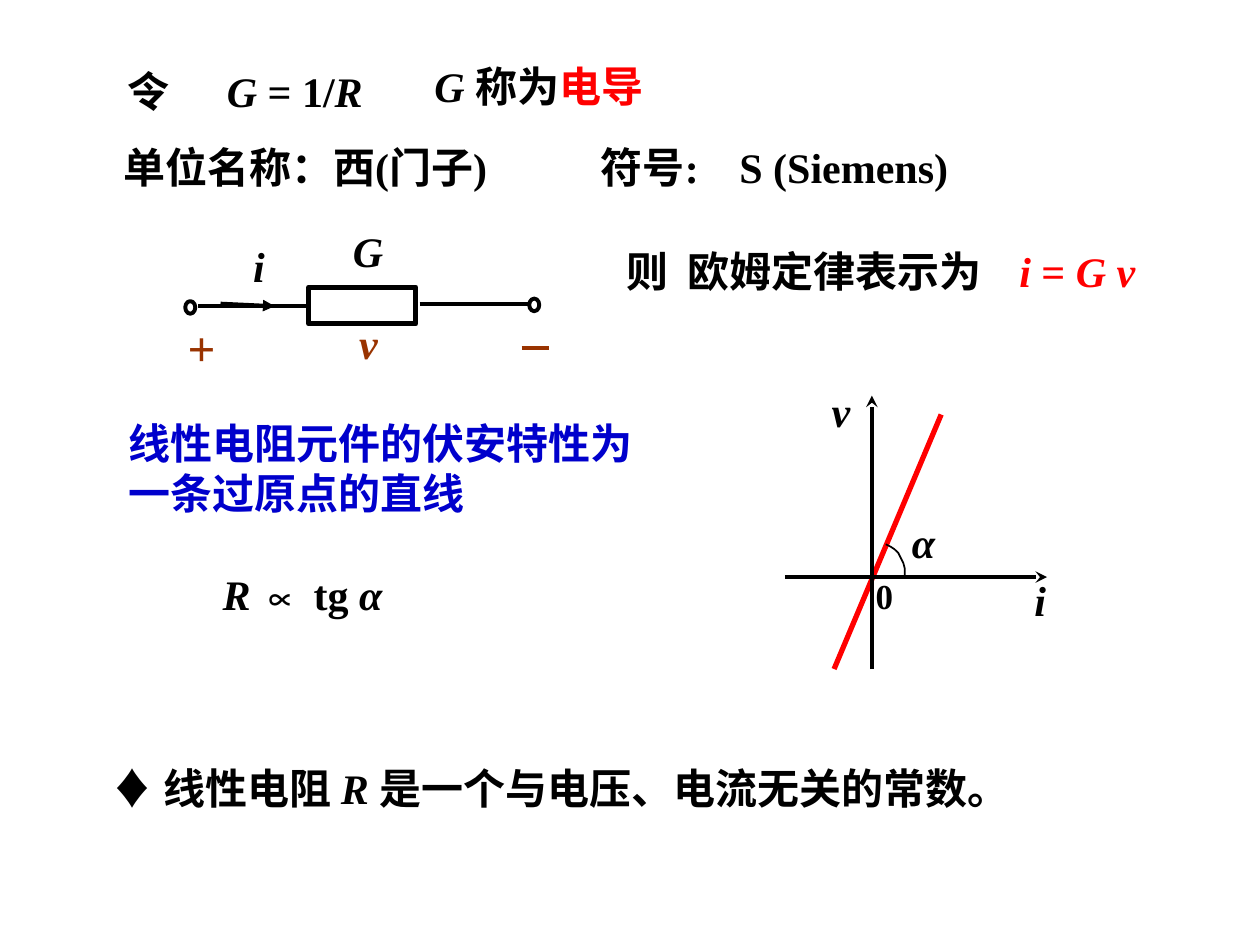
from lxml import etree
from pptx import Presentation
from pptx import util as u
from pptx.dml.color import RGBColor
from pptx.enum import shapes, text
from pptx.oxml.ns import qn

BLACK = RGBColor(0x00, 0x00, 0x00)
WHITE = RGBColor(0xFF, 0xFF, 0xFF)
RED = RGBColor(0xFF, 0x00, 0x00)
BLUE = RGBColor(0x00, 0x00, 0xCC)
BROWN = RGBColor(0x99, 0x33, 0x00)
FONT = "Times New Roman"
W, H = 1000, 750
CENTER, LEFT = text.PP_ALIGN.CENTER, text.PP_ALIGN.LEFT


def px(n):
    """Turn px (100 to the inch) into EMU."""
    return u.Emu(int(n * 9144))


def add_text(s, x, y, w, h, *lines, size=24, color=BLACK, italic=False,
             align=CENTER, wrap=True, inset=10, tabs=(), spacing=None):
    """Each line is a string or a list of (text, italic, colour) runs."""
    sp = s.shapes.add_textbox(px(x), px(y), px(w), px(h))
    tf = sp.text_frame
    tf.word_wrap = wrap
    tf.vertical_anchor = text.MSO_ANCHOR.MIDDLE
    tf.margin_left = px(inset)
    for i, line in enumerate(lines):
        p = tf.add_paragraph() if i else tf.paragraphs[0]
        if tabs:
            tab_list = etree.SubElement(p._p.get_or_add_pPr(), qn("a:tabLst"))
            for pos in tabs:
                etree.SubElement(tab_list, qn("a:tab"), pos=str(px(pos)), algn="l")
        p.alignment = align
        if spacing:
            p.line_spacing = spacing
        p.font.name, p.font.size, p.font.bold = FONT, u.Pt(size), True
        runs = [(line, italic, color)] if isinstance(line, str) else line
        for words, slanted, ink in runs:
            r = p.add_run()
            r.text = words
            r.font.italic = slanted
            r.font.color.rgb = ink


def add_line(s, x1, y1, x2, y2, color=BLACK, width=2.25, arrow=None):
    line = s.shapes.add_connector(shapes.MSO_CONNECTOR.STRAIGHT,
                                  px(x1), px(y1), px(x2), px(y2))
    line.line.color.rgb = color
    line.line.width = u.Pt(width)
    if arrow:
        etree.SubElement(line.line._get_or_add_ln(), qn("a:tailEnd"), type=arrow)
    etree.SubElement(line._element.spPr, qn("a:effectLst"))


def outline(sp, width, fill=None):
    sp.shadow.inherit = False
    if fill is None:
        sp.fill.background()
    else:
        sp.fill.solid()
        sp.fill.fore_color.rgb = fill
    sp.line.color.rgb = BLACK
    sp.line.width = u.Pt(width)


def add_definition(s, x, y):
    """Conductance, its unit and its symbol."""
    add_text(s, x, y + 4, 235, 50,
             [("令\t", False, BLACK), ("G ", True, BLACK),
              ("= 1/", False, BLACK), ("R", True, BLACK)],
             align=LEFT, inset=25, tabs=[79])
    add_text(s, x + 253, y, 197, 50,
             [("G ", True, BLACK), ("称为", False, BLACK), ("电导", False, RED)])
    add_text(s, x + 12, y + 44, 676, 70,
             "单位名称：西(门子)\t符号:\tS (Siemens)",
             align=LEFT, tabs=[379, 489], spacing=1.5)


def add_ohms_law(s, x, y):
    add_text(s, x, y, 467, 50,
             [("则\t欧姆定律表示为\t", False, BLACK), ("i ", True, RED),
              ("= ", False, RED), ("G v", True, RED)],
             align=LEFT, inset=31, tabs=[49, 312])


def add_circuit(s, x, y):
    """Conductance between two terminals, with current and voltage."""
    body = s.shapes.add_shape(shapes.MSO_SHAPE.RECTANGLE,
                              px(x + 106), px(y + 54), px(85), px(29))
    outline(body, 3)
    add_line(s, x + 104, y + 69, x + 18, y + 69)
    add_line(s, x + 194, y + 67, x + 280, y + 67)
    for left, top in ((8, 65), (281, 63)):
        terminal = s.shapes.add_shape(shapes.MSO_SHAPE.OVAL,
                                      px(x + left), px(y + top), px(8), px(10))
        outline(terminal, 2.25, WHITE)
    add_line(s, x + 36, y + 67, x + 79, y + 69, arrow="triangle")
    add_text(s, x + 52, y + 12, 29, 50, "i", italic=True, wrap=False)
    add_text(s, x + 131, y, 44, 50, "G", italic=True, wrap=False)
    add_text(s, x + 136, y + 73, 35, 50, "v", color=BROWN, italic=True, wrap=False)
    add_text(s, x, y + 73, 32, 57, "+", size=28, color=BROWN, wrap=False)
    add_line(s, x + 275, y + 102, x + 297, y + 102, BROWN)


def add_characteristic(s, x, y):
    """Voltage against current: a straight line through the origin."""
    add_line(s, x + 124, y + 28, x + 39, y + 230, RED, 3)
    arc = s.shapes.build_freeform(px(x + 80), px(y + 131), scale=1.0)
    arc.add_line_segments([(px(x + dx), px(y + dy)) for dx, dy in
                           ((84, 133), (87, 135), (90, 138), (92, 142),
                            (94, 146), (95, 150), (95, 158))], close=False)
    outline(arc.convert_to_shape(), 1)
    add_line(s, x, y + 157, x + 208, y + 157, arrow="stealth")
    add_line(s, x + 69, y + 230, x + 69, y + 13, arrow="stealth")
    add_text(s, x + 27, y, 35, 50, "v", italic=True, wrap=False)
    add_text(s, x + 188, y + 150, 29, 50, "i", italic=True, wrap=False)
    add_text(s, x + 82, y + 104, 56, 50, "α", italic=True)
    add_text(s, x + 62, y + 150, 34, 43, "0", size=20, wrap=False)


def add_conclusions(s, x, y):
    add_text(s, x + 14, y, 420, 90, "线性电阻元件的伏安特性为", "一条过原点的直线",
             color=BLUE, align=LEFT, wrap=False)
    add_text(s, x + 71, y + 120, 182, 50,
             [("R ", True, BLACK), ("∝ tg ", False, BLACK), ("α", True, BLACK)])
    add_text(s, x, y + 274, 734, 50,
             [("♦ 线性电阻 ", False, BLACK), ("R ", True, BLACK),
              ("是一个与电压、电流无关的常数。", False, BLACK)])


def main():
    prs = Presentation()
    prs.slide_width, prs.slide_height = px(W), px(H)
    s = prs.slides.add_slide(prs.slide_layouts[6])
    add_definition(s, 76, 43)
    add_ohms_law(s, 466, 190)
    add_circuit(s, 139, 174)
    add_characteristic(s, 623, 301)
    add_conclusions(s, 78, 326)
    prs.save("out.pptx")


if __name__ == "__main__":
    main()
